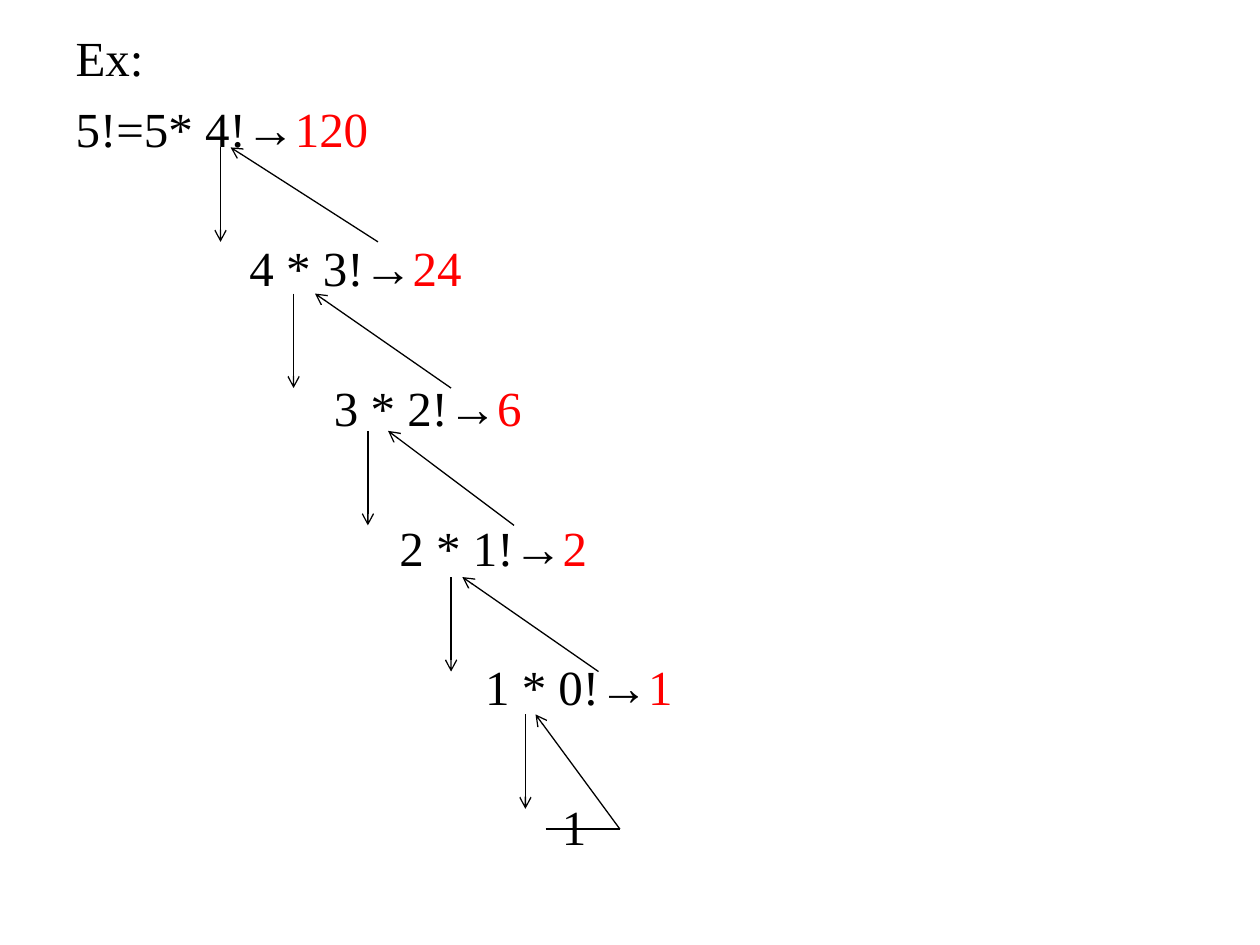
from typing import NamedTuple

from lxml.etree import SubElement
from pptx import Presentation
from pptx.dml.color import RGBColor
from pptx.enum.shapes import MSO_CONNECTOR
from pptx.enum.text import MSO_ANCHOR, MSO_AUTO_SIZE, PP_ALIGN
from pptx.oxml.ns import qn
from pptx.util import Inches, Pt

BLACK, RED = "000000", "FF0000"
DROP = 0.75  # height of each call arrow


class Step(NamedTuple):
    text: str
    value: str
    indent: float  # inches
    gap: float     # points above


class Call(NamedTuple):
    down: float  # x of the call arrow
    top: float
    tip: float   # x where the result comes back
    foot: float  # x where the result leaves
    rise: float = DROP


STEPS = [
    Step("Ex:", "", 0, 4),
    Step("5!=5* 4!→", "120", 0, 6.6),
    Step("4 * 3!→", "24", 1.38, 46.2),
    Step("3 * 2!→", "6", 2.05, 46.2),
    Step("2 * 1!→", "2", 2.57, 46.2),
    Step("1 * 0!→", "1", 3.25, 46.2),
    Step("1", "", 3.86, 46.2),
]
CALLS = [
    Call(1.75, 1.17, 1.83, 3),
    Call(2.33, 2.33, 2.5, 3.58),
    Call(2.92, 3.42, 3.08, 4.08),
    Call(3.58, 4.58, 3.67, 4.75),
    Call(4.17, 5.67, 4.25, 4.92, 0.91),
]


def color(code: str) -> RGBColor:
    return RGBColor.from_string(code)


def add_run(para, text: str, code: str) -> None:
    run = para.add_run()
    run.text = text
    run.font.name = "Times New Roman"
    run.font.size = Pt(28)
    run.font.color.rgb = color(code)


def add_step(para, step: Step) -> None:
    para.alignment = PP_ALIGN.LEFT
    para.space_before = Pt(step.gap)
    props = para._p.get_or_add_pPr()
    props.set("marL", str(Inches(step.indent)))
    props.set("indent", "0")
    SubElement(props, qn("a:buNone"))
    add_run(para, step.text, BLACK)
    if step.value:
        add_run(para, step.value, RED)


def add_line(shapes, x1: float, y1: float, x2: float, y2: float,
             arrow: bool = True) -> None:
    line = shapes.add_connector(MSO_CONNECTOR.STRAIGHT, Inches(x1), Inches(y1),
                                Inches(x2), Inches(y2))
    line.line.color.rgb = color(BLACK)
    line.line.width = Pt(0.75)
    if arrow:
        SubElement(line.line._get_or_add_ln(), qn("a:tailEnd"), type="arrow")
    SubElement(line._element.spPr, qn("a:effectLst"))


def main() -> None:
    deck = Presentation()
    deck.slide_width, deck.slide_height = Inches(10), Inches(7.5)
    slide = deck.slides.add_slide(deck.slide_layouts[1])
    shapes = slide.shapes
    title = shapes.title._element
    title.getparent().remove(title)

    # Expansion of 5!
    body = slide.placeholders[1]
    body.left, body.top = Inches(0.5), Inches(0.17)
    body.width, body.height = Inches(9), Inches(7.08)
    frame = body.text_frame
    frame.word_wrap = True
    frame.auto_size = MSO_AUTO_SIZE.NONE
    frame.vertical_anchor = MSO_ANCHOR.TOP
    for i, step in enumerate(STEPS):
        add_step(frame.add_paragraph() if i else frame.paragraphs[0], step)

    # Calls go down, results come back up
    for call in CALLS:
        add_line(shapes, call.down, call.top, call.down, call.top + DROP)
        add_line(shapes, call.foot, call.top + call.rise, call.tip, call.top)

    # Base case underline
    add_line(shapes, 4.33, 6.58, 4.92, 6.58, arrow=False)

    deck.save("out.pptx")


if __name__ == "__main__":
    main()
